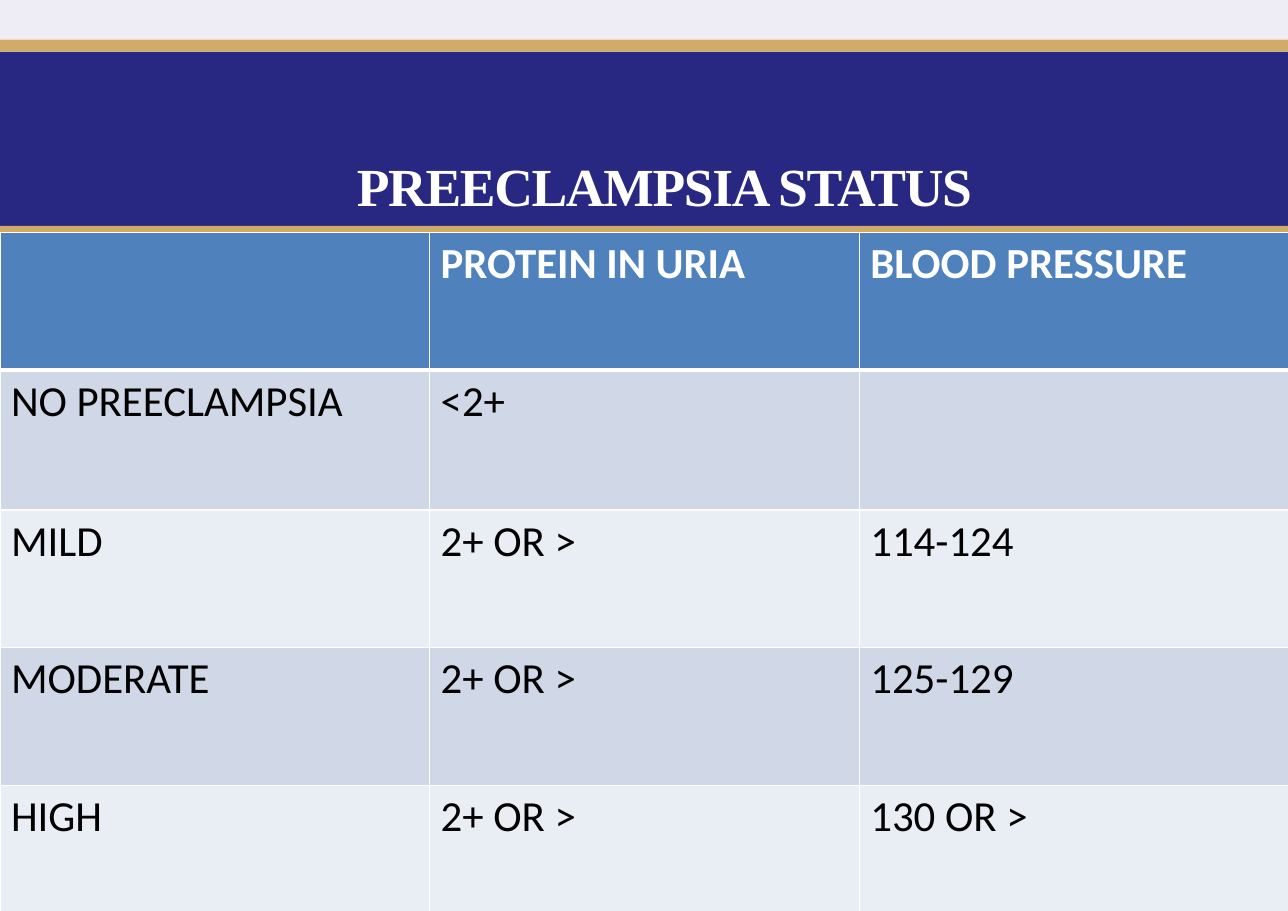
from lxml.etree import SubElement
from pptx import Presentation
from pptx.dml.color import RGBColor
from pptx.enum.shapes import MSO_SHAPE
from pptx.enum.text import MSO_ANCHOR, MSO_AUTO_SIZE, PP_ALIGN
from pptx.oxml.ns import qn
from pptx.util import Inches, Pt

COLORS = {
    "pale": "EEEDF6",
    "navy": "282781",
    "gold": "D2AB67",
    "header": "4F81BD",
    "odd": "D0D8E8",
    "even": "E9EDF4",
    "white": "FFFFFF",
    "black": "000000",
}
WIDTH, HEIGHT = 11.69, 8.27


def color(name):
    return RGBColor.from_string(COLORS[name])


def add_border(cell, side, points):
    line = SubElement(cell._tc.get_or_add_tcPr(), qn(f"a:ln{side}"), w=str(Pt(points)))
    fill = SubElement(line, qn("a:solidFill"))
    SubElement(fill, qn("a:srgbClr"), val=COLORS["white"])


presentation = Presentation()
presentation.slide_width = Inches(WIDTH)
presentation.slide_height = Inches(HEIGHT)
slide = presentation.slides.add_slide(presentation.slide_layouts[5])

bands = [
    (0, 0.36, "pale"),
    (0.36, 0.47, "gold"),
    (0.47, 2.05, "navy"),
    (2.05, 2.17, "gold"),
    (2.17, HEIGHT, "pale"),
]
for top, bottom, shade in bands:
    band = slide.shapes.add_shape(
        MSO_SHAPE.RECTANGLE, 0, Inches(top), Inches(WIDTH), Inches(bottom - top)
    )
    band.shadow.inherit = False
    band.fill.solid()
    band.fill.fore_color.rgb = color(shade)
    band.line.fill.background()

heading = slide.shapes.title
slide.shapes._spTree.append(heading._element)
heading.left, heading.top = Inches(0), Inches(1.38)
heading.width, heading.height = Inches(12.06), Inches(0.6)
heading_format = {
    "margin_left": 0,
    "margin_top": Inches(0.01),
    "margin_right": 0,
    "margin_bottom": 0,
    "vertical_anchor": MSO_ANCHOR.TOP,
    "auto_size": MSO_AUTO_SIZE.NONE,
    "word_wrap": True,
}
for attribute, value in heading_format.items():
    setattr(heading.text_frame, attribute, value)
heading.text_frame.text = "PREECLAMPSIA STATUS"
heading_line = heading.text_frame.paragraphs[0]
heading_line.alignment = PP_ALIGN.CENTER
heading_run = heading_line.runs[0]
for attribute, value in {"name": "Times New Roman", "size": Pt(35), "bold": True}.items():
    setattr(heading_run.font, attribute, value)
heading_run.font.color.rgb = color("white")
heading_run._r.get_or_add_rPr().set("spc", "-90")

status_rows = [
    ["", "PROTEIN IN URIA", "BLOOD PRESSURE"],
    ["NO PREECLAMPSIA", "<2+", ""],
    ["MILD", "2+ OR >", "114-124"],
    ["MODERATE", "2+ OR >", "125-129"],
    ["HIGH", "2+ OR >", "130 OR >"],
]
row_heights = [1.25, 1.27, 1.25, 1.25, 1.25]
status_table = slide.shapes.add_table(
    len(status_rows), 3, 0, Inches(2.11), Inches(11.7), Inches(sum(row_heights))
).table
for column in status_table.columns:
    column.width = Inches(3.9)

for row_index, entries in enumerate(status_rows):
    status_table.rows[row_index].height = Inches(row_heights[row_index])
    is_header = row_index == 0
    shade = "header" if is_header else ("even", "odd")[row_index % 2]
    borders = {
        "L": 1,
        "R": 1,
        "T": 3 if row_index == 1 else 1,
        "B": 3 if is_header else 1,
    }
    for column_index, entry in enumerate(entries):
        cell = status_table.cell(row_index, column_index)
        for side, points in borders.items():
            add_border(cell, side, points)
        cell.fill.solid()
        cell.fill.fore_color.rgb = color(shade)
        cell.text = entry
        font = cell.text_frame.paragraphs[0].font
        for attribute, value in {"name": "Calibri", "size": Pt(28), "bold": is_header}.items():
            setattr(font, attribute, value)
        font.color.rgb = color("white" if is_header else "black")

presentation.save("out.pptx")
